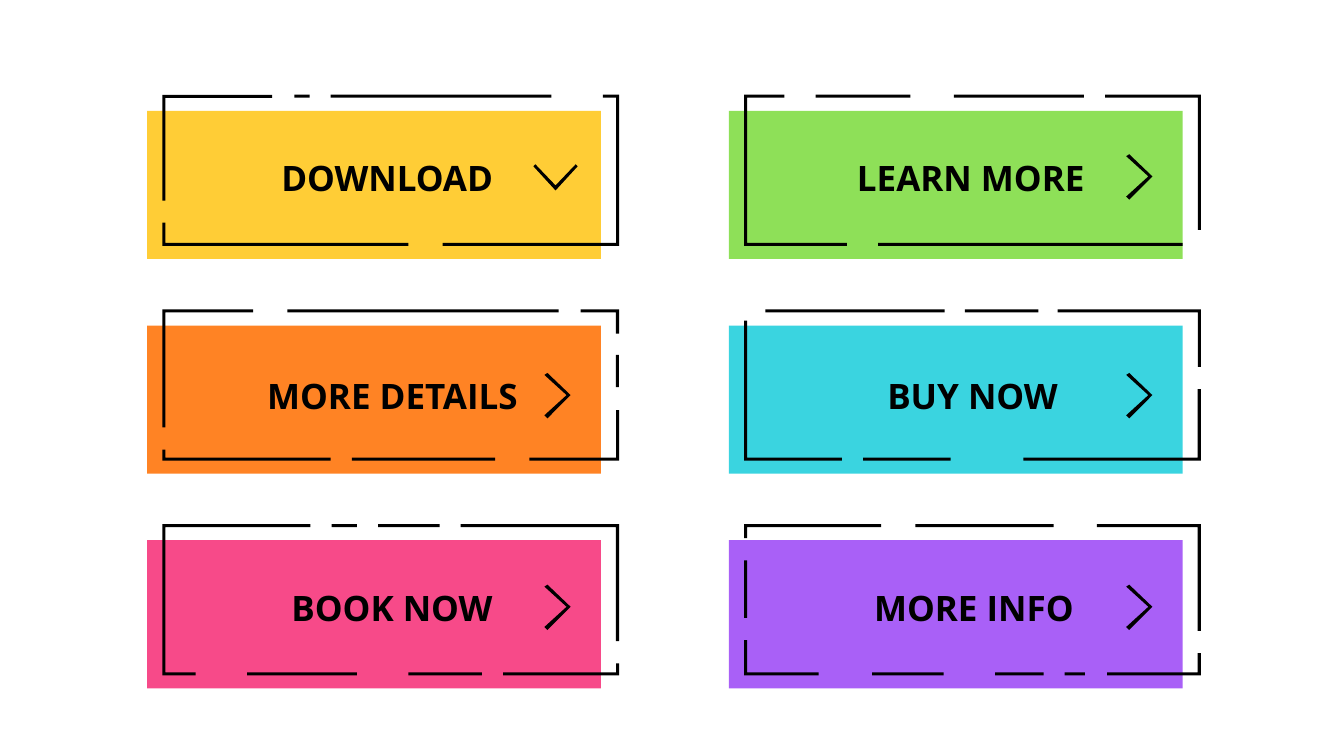
from pptx import Presentation
from pptx.dml.color import RGBColor
from pptx.enum.shapes import MSO_SHAPE
from pptx.enum.text import MSO_ANCHOR, PP_ALIGN
from pptx.util import Inches, Pt

THEME = {
    "ink": RGBColor.from_string("000000"),
    "label": {"name": "Open Sans", "size": Pt(25), "bold": True},
    "label_box": {"margin_left": 0, "margin_top": 0, "margin_right": 0, "margin_bottom": 0,
                  "word_wrap": True, "vertical_anchor": MSO_ANCHOR.TOP},
}

# Grid of buttons, in inches
LEFT, TOP = 1.46, 1.1
COLUMN_STEP, ROW_STEP = 5.77, 2.13
BLOCK_W, BLOCK_H = 4.5, 1.47
FRAME_DX, FRAME_DY = 0.15, -0.16
W, H = 4.53, 1.5  # frame size
STROKE = 0.03
LABEL_H = 0.44

CHEVRON_RIGHT = [(0.03, 0.45), (0, 0.42), (0.22, 0.22), (0, 0.02), (0.03, 0), (0.26, 0.22)]
CHEVRON_DOWN = [(0.22, 0.26), (0, 0.02), (0.02, 0), (0.22, 0.21), (0.42, 0), (0.44, 0.02)]

# column, row, colour, label, label left/top/width, strokes along the frame's outer edge
BUTTONS = [
    (1, 0, "8EE058", "LEARN MORE", (8.5, 1.55, 2.36), [
        [(2.08, 0), (3.37, 0)],
        [(3.58, 0), (W, 0), (W, 1.34)],
        [(0.71, 0), (1.65, 0)],
        [(1.02, H), (0, H), (0, 0), (0.4, 0)],
        [(1.33, H), (4.35, H)]]),
    (1, 1, "3AD4E0", "BUY NOW", (8.8, 3.72, 1.82), [
        [(W, 0.79), (W, H), (2.77, H)],
        [(0.21, 0), (1.99, 0)],
        [(3.11, 0), (W, 0), (W, 0.57)],
        [(1.18, H), (2.05, H)],
        [(2.19, 0), (2.92, 0)],
        [(0.97, H), (0, H), (0, 0.11)]]),
    (1, 2, "A960F7", "MORE INFO", (8.67, 5.82, 2.1), [
        [(1.7, 0), (3.07, 0)],
        [(2.49, H), (2.97, H)],
        [(1.27, H), (1.98, H)],
        [(3.5, 0), (W, 0), (W, 1.06)],
        [(0.74, H), (0, H), (0, 1.15)],
        [(W, 1.28), (W, H), (3.6, H)],
        [(3.18, H), (3.38, H)],
        [(0, 0.36), (0, 0.93)],
        [(0, 0.14), (0, 0), (1.36, 0)]]),
    (0, 0, "FFCD36", "DOWNLOAD", (2.79, 1.55, 2.23), [
        [(1.31, 0), (1.46, 0)],
        [(1.67, 0), (3.86, 0)],
        [(2.44, H), (0, H), (0, 1.27)],
        [(4.37, 0), (W, 0), (W, H), (2.78, H)],
        [(0, 1.05), (0, 0), (1.09, 0)]]),
    (0, 1, "FF8324", "MORE DETAILS", (2.65, 3.72, 2.61), [
        [(1.88, H), (3.3, H)],
        [(W, 0.45), (W, 0.77)],
        [(4.15, 0), (W, 0), (W, 0.24)],
        [(0, 1.17), (0, 0), (0.9, 0)],
        [(W, 1), (W, H), (3.64, H)],
        [(1.24, 0), (3.93, 0)],
        [(1.67, H), (0, H), (0, 1.39)]]),
    (0, 2, "F74A89", "BOOK NOW", (2.89, 5.82, 2.12), [
        [(0.84, H), (1.93, H)],
        [(1.68, 0), (1.93, 0)],
        [(2.96, 0), (W, 0), (W, 1.16)],
        [(2.14, 0), (2.75, 0)],
        [(W, 1.38), (W, H), (3.38, H)],
        [(0.33, H), (0, H), (0, 0), (1.47, 0)],
        [(2.44, H), (3.17, H)]]),
]


def add_bar(group, left, top, width, height, color):
    """Add a plain filled rectangle."""
    bar = group.shapes.add_shape(MSO_SHAPE.RECTANGLE, *map(Inches, (left, top, width, height)))
    bar.shadow.inherit = False
    bar.fill.solid()
    bar.fill.fore_color.rgb = color
    bar.line.fill.background()


def add_outline(group, left, top, points, color):
    """Add a filled closed outline whose points are offsets from left, top."""
    corners = [(Inches(left + x), Inches(top + y)) for x, y in points]
    builder = group.shapes.build_freeform(*corners[0])
    builder.add_line_segments(corners[1:], close=True)
    outline = builder.convert_to_shape()
    outline.shadow.inherit = False
    outline.fill.solid()
    outline.fill.fore_color.rgb = color
    outline.line.fill.background()


prs = Presentation()
prs.slide_width, prs.slide_height = Inches(13.33), Inches(7.5)
slide = prs.slides.add_slide(prs.slide_layouts[6])
ink = THEME["ink"]

for column, row, color, label, (label_x, label_y, label_w), strokes in BUTTONS:
    button = slide.shapes.add_group_shape()
    block_x, block_y = LEFT + column * COLUMN_STEP, TOP + row * ROW_STEP
    frame_x, frame_y = block_x + FRAME_DX, block_y + FRAME_DY
    add_bar(button, block_x, block_y, BLOCK_W, BLOCK_H, RGBColor.from_string(color))

    for outer in strokes:
        # The inner edge is the outer edge pulled inside the frame by one stroke
        inner = [(min(max(x, STROKE), W - STROKE), min(max(y, STROKE), H - STROKE))
                 for x, y in outer]
        edge = outer + inner[::-1]
        if len(outer) == 2:
            xs, ys = zip(*edge)
            add_bar(button, frame_x + min(xs), frame_y + min(ys),
                    max(xs) - min(xs), max(ys) - min(ys), ink)
        else:
            add_outline(button, frame_x, frame_y, edge, ink)

    caption = button.shapes.add_textbox(*map(Inches, (label_x, label_y, label_w, LABEL_H)))
    for name, value in THEME["label_box"].items():
        setattr(caption.text_frame, name, value)
    paragraph = caption.text_frame.paragraphs[0]
    paragraph.alignment = PP_ALIGN.LEFT
    run = paragraph.add_run()
    run.text = label
    for name, value in THEME["label"].items():
        setattr(run.font, name, value)
    run.font.color.rgb = ink

    if label == "DOWNLOAD":
        add_outline(button, block_x + 3.83, label_y + 0.08, CHEVRON_DOWN, ink)
    else:
        add_outline(button, block_x + 3.94, label_y - 0.02, CHEVRON_RIGHT, ink)

prs.save("out.pptx")
